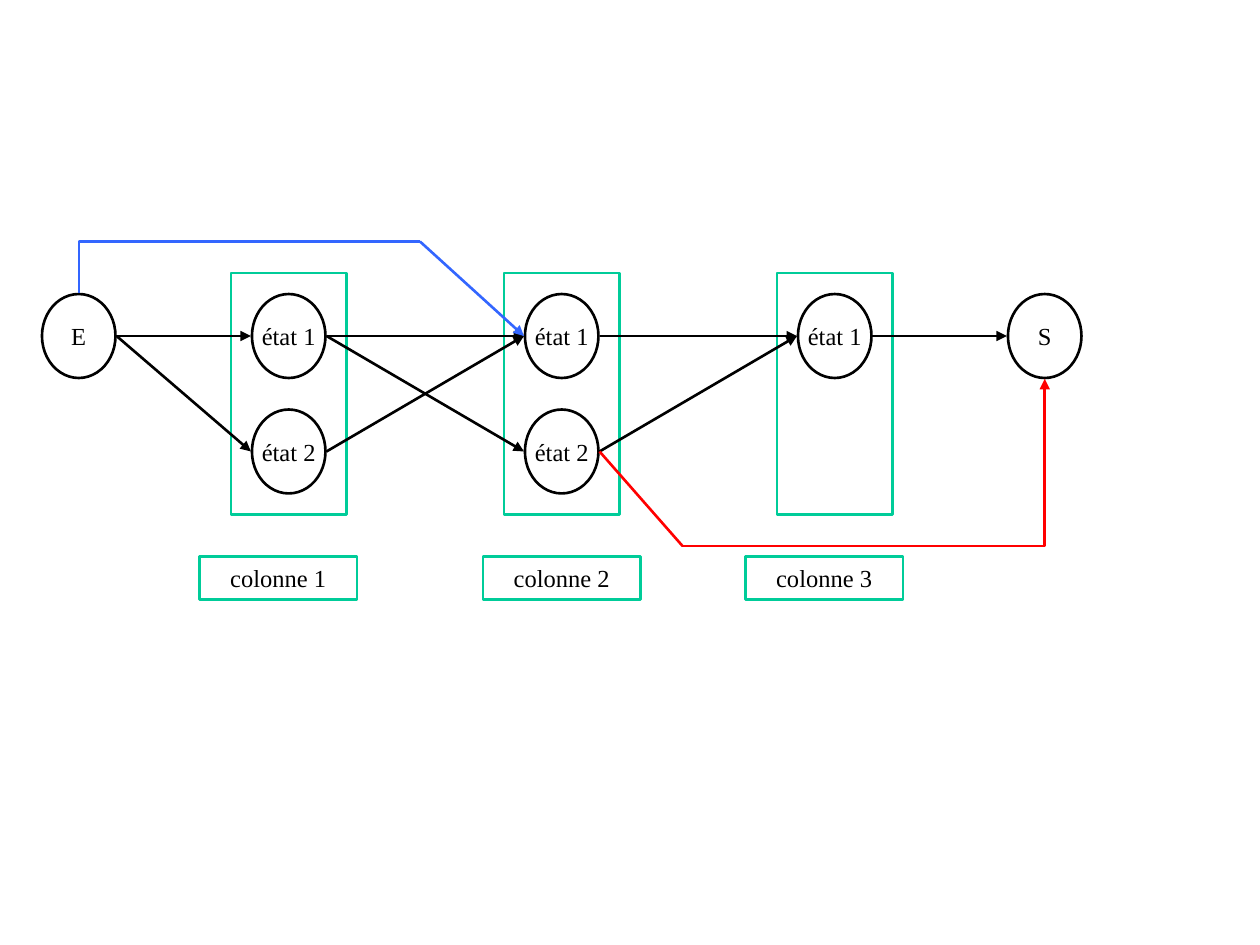
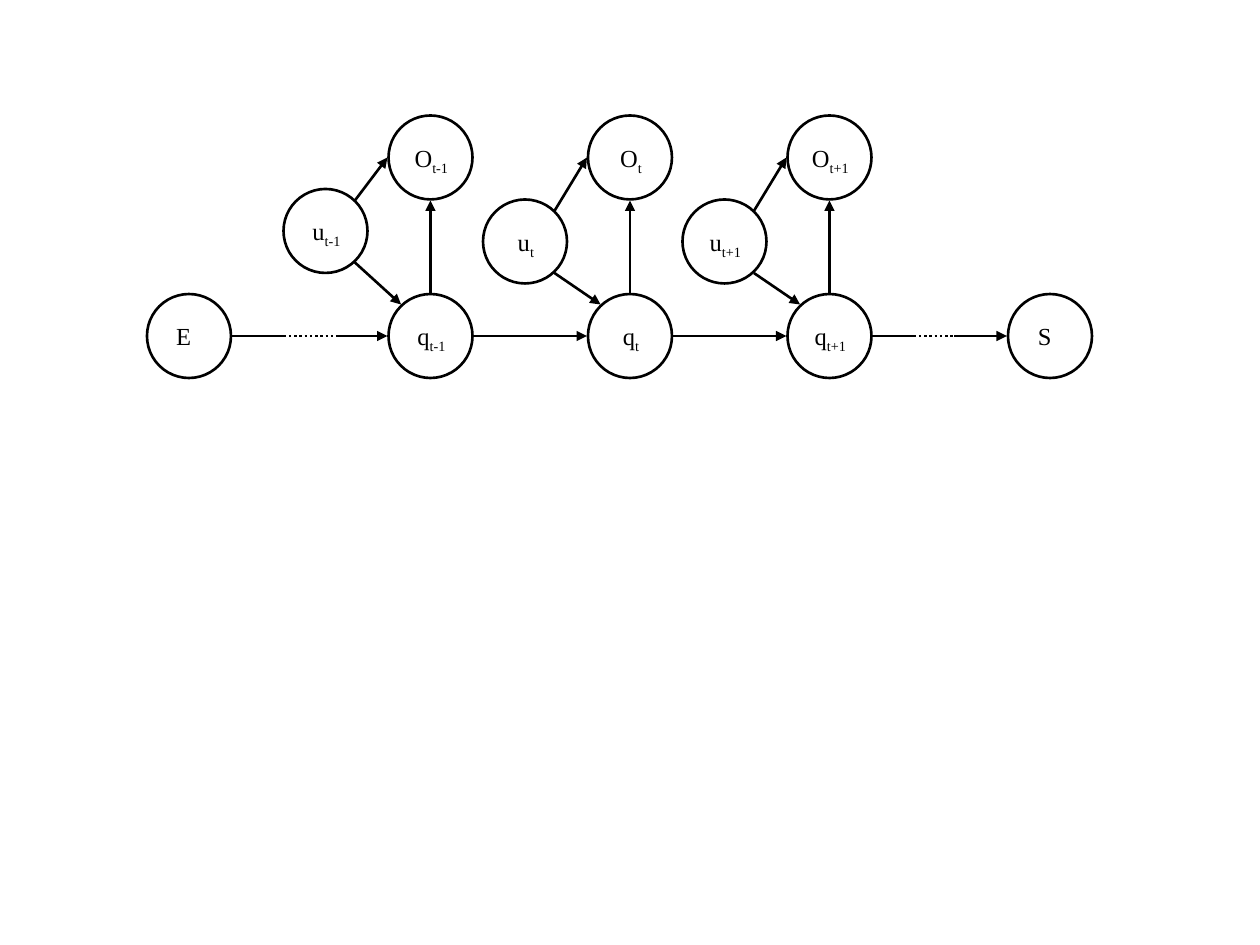
import dataclasses
import typing

import pptx
import pptx.dml.color
import pptx.enum.dml
import pptx.enum.shapes
import pptx.enum.text
import pptx.oxml
import pptx.oxml.ns
import pptx.util

# Shared look; 120 px make one inch
PX = 7620
FONT = "Times New Roman"
BLACK = pptx.dml.color.RGBColor(0x00, 0x00, 0x00)
GREEN = pptx.dml.color.RGBColor(0x00, 0xCC, 0x99)
BLUE = pptx.dml.color.RGBColor(0x33, 0x66, 0xFF)
RED = pptx.dml.color.RGBColor(0xFF, 0x00, 0x00)
SHAPE = pptx.enum.shapes.MSO_SHAPE
CONNECTOR = pptx.enum.shapes.MSO_CONNECTOR
LABEL_HEIGHT = 41

Point = tuple[int, int]


@dataclasses.dataclass(frozen=True)
class Box:
    left: int
    top: int
    width: int
    height: int

    def emu(self) -> list[pptx.util.Emu]:
        return [px(side) for side in (self.left, self.top, self.width, self.height)]


@dataclasses.dataclass(frozen=True)
class State:
    """Ellipse of the column diagram, placed by its centre."""
    x: int
    y: int
    name: str

    def entry(self) -> Point:
        return self.x - 36, self.y

    def exit(self) -> Point:
        return self.x + 36, self.y


@dataclasses.dataclass(frozen=True)
class Circle:
    """Circle of the time diagram, placed by its corner."""
    left: int
    top: int
    name: str
    index: str = ""

    def at(self, across: int, down: int) -> Point:
        return self.left + across, self.top + down


def px(length: float) -> pptx.util.Emu:
    return pptx.util.Emu(round(length * PX))


# Drawing helpers
def add_outline(shapes: typing.Any, kind: SHAPE, box: Box, color=BLACK) -> typing.Any:
    shape = shapes.add_shape(kind, *box.emu())
    shape.shadow.inherit = False
    shape.fill.background()
    shape.line.color.rgb = color
    shape.line.width = pptx.util.Pt(1.5)
    return shape


def write(shape: typing.Any, text: str, index: str = "") -> None:
    frame = shape.text_frame
    frame.word_wrap = True
    frame.auto_size = pptx.enum.text.MSO_AUTO_SIZE.SHAPE_TO_FIT_TEXT
    frame.vertical_anchor = pptx.enum.text.MSO_ANCHOR.TOP
    paragraph = frame.paragraphs[0]
    paragraph.alignment = pptx.enum.text.PP_ALIGN.CENTER
    paragraph.font.name = FONT
    paragraph.font.size = pptx.util.Pt(14)
    paragraph.font.color.rgb = BLACK
    paragraph.add_run().text = text
    if index:
        frame.margin_right = 0
        span = paragraph.add_run()
        span.text = index
        span.font._element.set("baseline", "-25000")


def style_line(line: typing.Any, color, arrow: bool, dotted: bool = False) -> None:
    line.line.color.rgb = color
    line.line.width = pptx.util.Pt(1.5)
    if dotted:
        line.line.dash_style = pptx.enum.dml.MSO_LINE.ROUND_DOT
    if arrow:
        tail = pptx.oxml.parse_xml(
            f'<a:tailEnd {pptx.oxml.ns.nsdecls("a")} type="triangle"/>')
        line.line._get_or_add_ln().append(tail)
    line._element.spPr.append(
        pptx.oxml.parse_xml(f'<a:effectLst {pptx.oxml.ns.nsdecls("a")}/>'))


def add_line(page: typing.Any, start: Point, end: Point, color=BLACK,
             arrow: bool = True, dotted: bool = False) -> None:
    line = page.shapes.add_connector(CONNECTOR.STRAIGHT, *map(px, start + end))
    style_line(line, color, arrow, dotted)


def add_elbow(page: typing.Any, start: Point, end: Point, color,
              arrow: bool, upright_first: bool = False) -> None:
    """One-corner connector; a quarter turn makes its first leg vertical."""
    ends = start + end
    if upright_first:
        middle_x, middle_y = (start[0] + end[0]) / 2, (start[1] + end[1]) / 2
        half_x, half_y = start[0] - middle_x, start[1] - middle_y
        ends = (middle_x + half_y, middle_y - half_x, middle_x - half_y, middle_y + half_x)
    line = page.shapes.add_connector(CONNECTOR.ELBOW, *map(px, ends))
    properties = line._element.spPr
    properties.find(pptx.oxml.ns.qn("a:prstGeom")).set("prst", "bentConnector2")
    if upright_first:
        properties.find(pptx.oxml.ns.qn("a:xfrm")).set("rot", "5400000")
    style_line(line, color, arrow)


def add_state(page: typing.Any, state: State) -> None:
    add_outline(page.shapes, SHAPE.OVAL, Box(state.x - 35, state.y - 40, 70, 80))
    label = Box(state.x - 45, state.y - 20, 90, LABEL_HEIGHT)
    write(page.shapes.add_textbox(*label.emu()), state.name)


def add_circle(page: typing.Any, circle: Circle) -> None:
    group = page.shapes.add_group_shape()
    add_outline(group.shapes, SHAPE.OVAL, Box(circle.left, circle.top, 80, 80))
    label = Box(*circle.at(10, 20), 50, 44 if circle.index else LABEL_HEIGHT)
    write(group.shapes.add_textbox(*label.emu()), circle.name, circle.index)


# Slide 1: states arranged in columns
def build_columns(page: typing.Any) -> None:
    upper, lower = 320, 430
    column_x = [275 + 260 * column for column in range(3)]
    entry, leave = State(75, upper, "E"), State(995, upper, "S")
    first = [State(x, upper, "état 1") for x in column_x]
    second = [State(x, lower, "état 2") for x in column_x[:2]]

    for number, (x, label_left) in enumerate(zip(column_x, (190, 460, 710)), 1):
        add_outline(page.shapes, SHAPE.RECTANGLE, Box(x - 55, 260, 110, 230), GREEN)
        caption = Box(label_left, 530, 150, LABEL_HEIGHT)
        write(add_outline(page.shapes, SHAPE.RECTANGLE, caption, GREEN), f"colonne {number}")
    for state in [entry, *first, *second, leave]:
        add_state(page, state)

    transitions = [
        (entry, first[0]), (entry, second[0]),
        (first[0], first[1]), (second[0], first[1]), (first[0], second[1]),
        (first[1], first[2]), (second[1], first[2]), (first[2], leave),
    ]
    for source, target in transitions:
        add_line(page, source.exit(), target.entry())

    # Shortcuts around the columns
    over, under = (400, 230), (650, 520)
    add_elbow(page, (entry.x, upper - 41), over, BLUE, arrow=False, upright_first=True)
    add_line(page, over, first[1].entry(), BLUE)
    add_elbow(page, under, (leave.x, upper + 41), RED, arrow=True)
    add_line(page, second[1].exit(), under, RED, arrow=False)


# Slide 2: states, inputs and outputs over time
def build_time_steps(page: typing.Any) -> None:
    row = 280
    middle = row + 40
    entry, leave = Circle(140, row, "E"), Circle(960, row, "S")
    steps = list(enumerate(("t-1", "t", "t+1")))
    hidden = [Circle(370 + 190 * step, row, "q", index) for step, index in steps]
    outputs = [Circle(state.left, 110, "O", state.index) for state in hidden]
    inputs = [Circle(state.left - 100, top, "u", state.index)
              for state, top in zip(hidden, (180, 190, 190))]

    for circle in [entry, leave, *hidden, *outputs, *inputs]:
        add_circle(page, circle)

    for state, output, source in zip(hidden, outputs, inputs):
        add_line(page, state.at(40, -1), output.at(40, 81))
        add_line(page, source.at(68, 70), state.at(12, 10))
        add_line(page, source.at(68, 11), output.at(-1, 40))
    for source, target in zip(hidden, hidden[1:]):
        add_line(page, source.at(81, 40), target.at(-1, 40))

    # Chains with a dotted middle part
    for stops in ((220, 270, 320, 369), (831, 870, 909, 959)):
        for part, (left, right) in enumerate(zip(stops, stops[1:])):
            add_line(page, (left, middle), (right, middle),
                     arrow=part == 2, dotted=part == 1)


def main() -> None:
    deck = pptx.Presentation()
    deck.slide_width, deck.slide_height = px(1200), px(900)
    for build in (build_columns, build_time_steps):
        build(deck.slides.add_slide(deck.slide_layouts[6]))
    deck.save("out.pptx")


if __name__ == "__main__":
    main()
